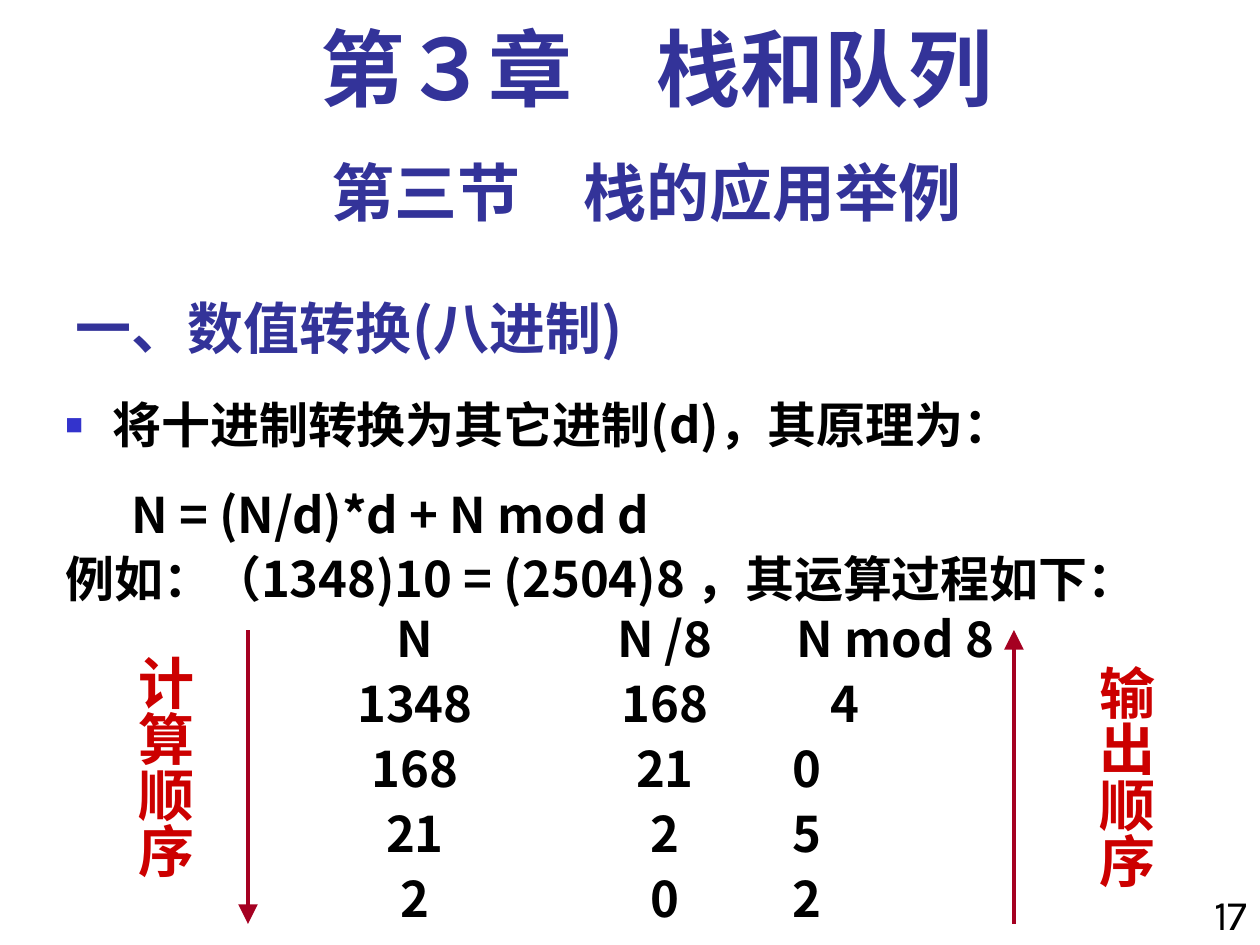
import pptx
import pptx.util
import pptx.dml.color
import pptx.enum.shapes
import pptx.enum.text
import pptx.oxml.ns
from lxml import etree

COLORS = {"heading": "333399", "text": "000000", "bullet": "3333CC",
          "arrow": "A50021", "label": "CC0000"}
CJK = "Noto Sans CJK SC"
SERIF = "Times New Roman"
BODY_LINE = 33.5
ALIGN = pptx.enum.text.PP_ALIGN
ANCHOR = pptx.enum.text.MSO_ANCHOR
qn = pptx.oxml.ns.qn


def px(n):
    return pptx.util.Emu(round(n * 914400 / 126))


def rgb(name):
    return pptx.dml.color.RGBColor.from_string(COLORS[name])


def add_text(p, text, size=28, font=CJK, color="text", bold=True,
             align=ALIGN.LEFT, before=0, line=None):
    """Write one formatted run; size, before and line are in points."""
    p.alignment = align
    p.space_before = pptx.util.Pt(before)
    if line:
        p.line_spacing = pptx.util.Pt(line)
    r = p.add_run()
    r.text = text
    r.font.size = pptx.util.Pt(size)
    r.font.name = font
    r.font.bold = bold
    r.font.color.rgb = rgb(color)
    etree.SubElement(r._r.get_or_add_rPr(), qn("a:ea"), typeface=CJK)


def set_indent(p, left, first=0):
    pPr = p._p.get_or_add_pPr()
    pPr.set("marL", str(px(left)))
    pPr.set("indent", str(px(first)))
    return pPr


def set_bullet(p):
    pPr = set_indent(p, 47, -47)
    clr = etree.SubElement(pPr, qn("a:buClr"))
    etree.SubElement(clr, qn("a:srgbClr"), val=COLORS["bullet"])
    etree.SubElement(pPr, qn("a:buSzPct"), val="60000")
    etree.SubElement(pPr, qn("a:buFont"), typeface=SERIF)
    etree.SubElement(pPr, qn("a:buChar"), char="■")


def add_box(s, x, y, w, h):
    tf = s.shapes.add_textbox(px(x), px(y), px(w), px(h)).text_frame
    tf.word_wrap = True
    return tf


def add_headings(s, x, y, w):
    # Chapter, section and topic
    add_text(add_box(s, x + 21, y, w - 21, 105).paragraphs[0], "第３章　栈和队列",
             size=48, font=SERIF, color="heading", align=ALIGN.CENTER, line=51.5)
    add_text(add_box(s, x, y + 126, w, 88).paragraphs[0], "第三节　栈的应用举例",
             size=36, font="Karla", color="heading", align=ALIGN.CENTER, line=43.5)
    title = s.shapes.title
    title.left, title.top = px(x), px(y + 251)
    title.width, title.height = px(788), px(95)
    tf = title.text_frame
    tf.auto_size = pptx.enum.text.MSO_AUTO_SIZE.NONE
    tf.vertical_anchor = ANCHOR.BOTTOM
    add_text(tf.paragraphs[0], "一、数值转换(八进制)", size=32, color="heading")


def add_principle(s, x, y, w, h):
    tf = add_box(s, x, y, w, h)
    p = tf.paragraphs[0]
    add_text(p, "将十进制转换为其它进制(d)，其原理为：", line=BODY_LINE)
    set_bullet(p)
    p = tf.add_paragraph()
    add_text(p, "N = (N/d)*d + N mod d", before=17.5, line=BODY_LINE)
    set_indent(p, 66)
    p = tf.add_paragraph()
    add_text(p, "例如：（1348)10 = (2504)8 ，其运算过程如下：", before=3.5, line=BODY_LINE)


def add_division_table(s, x, y, widths, row_h):
    # Each step: cells and the indent of its remainder
    steps = [(("N", "N /8", "N mod 8"), 7),
             (("1348", "168", "4"), 41),
             (("168", "21", "0"), 3),
             (("21", "2", "5"), 3),
             (("2", "0", "2"), 3)]
    frame = s.shapes.add_table(len(steps), len(widths), px(x), px(y),
                               px(sum(widths)), px(row_h * len(steps)))
    table = frame.table
    table.first_row = table.horz_banding = False
    # Plain style without grid
    table._tbl.tblPr.find(qn("a:tableStyleId")).text = \
        "{2D5ABB26-0587-4C30-8999-92F81FD0307C}"
    for col, w in zip(table.columns, widths):
        col.width = px(w)
    for row, (cells, remainder) in zip(table.rows, steps):
        row.height = px(row_h)
        for i, (cell, text) in enumerate(zip(row.cells, cells)):
            last = i == len(cells) - 1
            cell.fill.background()
            cell.vertical_anchor = ANCHOR.TOP
            cell.margin_top = cell.margin_bottom = cell.margin_right = 0
            cell.margin_left = px(remainder if last else 0)
            add_text(cell.text_frame.paragraphs[0], text, line=BODY_LINE,
                     align=ALIGN.LEFT if last else ALIGN.CENTER)


def add_order_label(s, x, y, text):
    tf = add_box(s, x, y, 92, 237)
    tf.word_wrap = False
    tf.margin_left = tf.margin_right = px(6)
    tf.margin_top = tf.margin_bottom = px(13)
    tf._txBody.bodyPr.set("vert", "eaVert")
    add_text(tf.paragraphs[0], text, size=32, font=SERIF, color="label")


def add_arrow(s, x, start, end):
    c = s.shapes.add_connector(pptx.enum.shapes.MSO_CONNECTOR.STRAIGHT,
                               px(x), px(start), px(x), px(end))
    c.line.color.rgb = rgb("arrow")
    c.line.width = pptx.util.Pt(2.25)
    etree.SubElement(c.line._get_or_add_ln(), qn("a:tailEnd"),
                     type="triangle", w="lg", len="lg")
    etree.SubElement(c._element.spPr, qn("a:effectLst"))


def add_page_number(s, x, y, w, h):
    add_text(add_box(s, x, y, w, h).paragraphs[0], "17", size=24, font="Karla",
             bold=False, align=ALIGN.RIGHT)


def main():
    prs = pptx.Presentation()
    prs.slide_width, prs.slide_height = px(1260), px(945)
    s = prs.slides.add_slide(prs.slide_layouts[5])
    add_headings(s, 63, 21, 1166)
    add_principle(s, 53, 389, 1207, 224)
    add_division_table(s, 290, 613, (250, 250, 230), 65)
    # Order of calculation (down) and of output (up)
    add_arrow(s, 248, 630, 924)
    add_order_label(s, 112, 642, "计算顺序")
    add_arrow(s, 1014, 924, 630)
    add_order_label(s, 1073, 652, "输出顺序")
    add_page_number(s, 1176, 882, 84, 63)
    prs.save("out.pptx")


if __name__ == "__main__":
    main()
